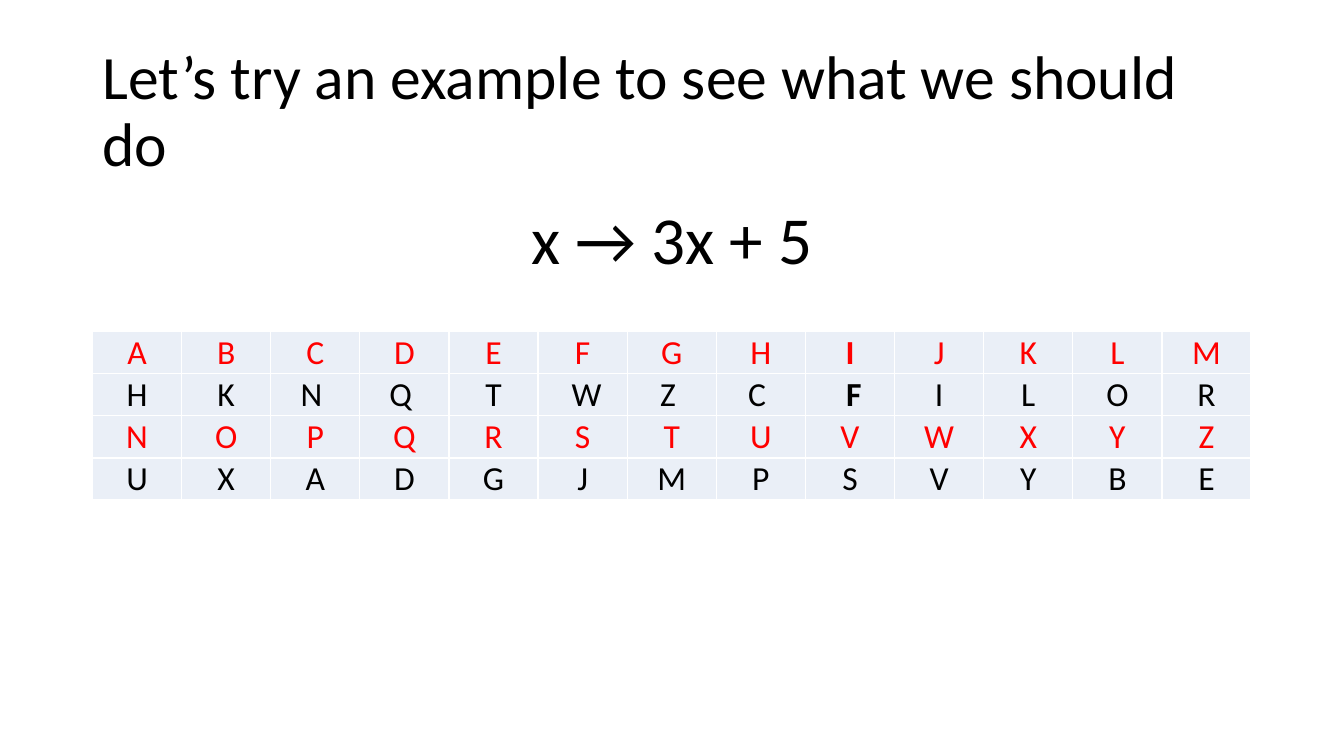
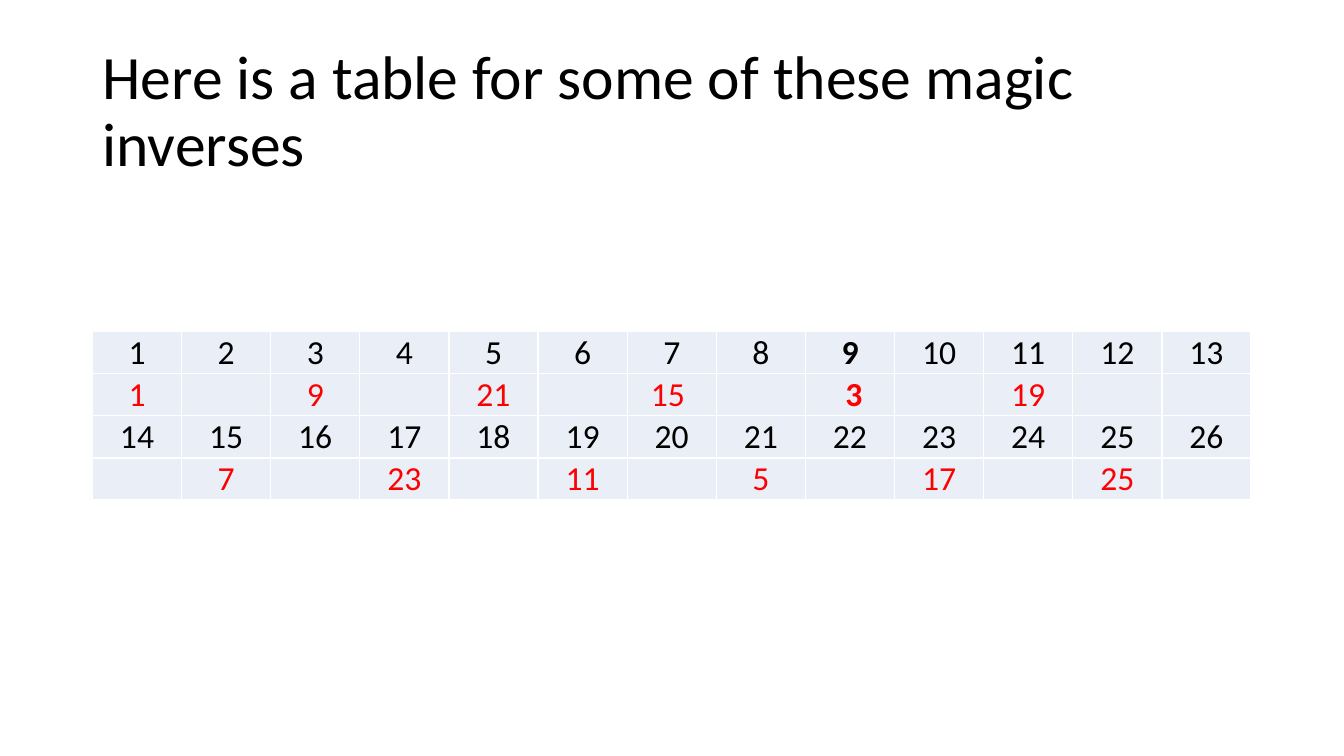
from dataclasses import dataclass

from pptx import Presentation
from pptx.dml.color import RGBColor
from pptx.enum.text import MSO_ANCHOR, PP_ALIGN
from pptx.slide import Slide
from pptx.table import _Cell
from pptx.text.text import _Paragraph
from pptx.util import Cm, Pt

BLACK = RGBColor(0x00, 0x00, 0x00)
RED = RGBColor(0xFF, 0x00, 0x00)
PALE_BLUE = RGBColor(0xEA, 0xEF, 0xF7)
FONT = "Calibri"

LEFT, WIDTH = Cm(2.33), Cm(29.21)
TITLE_TOP, TITLE_HEIGHT = Cm(1.01), Cm(3.68)
FORMULA_TOP, FORMULA_HEIGHT = Cm(5.08), Cm(2.36)
TABLE_TOP, ROW_HEIGHT = Cm(8.36), Cm(1.06)
CELL_MARGIN = Cm(0.02)
BOLD_CELLS = {(0, 8), (1, 8)}


@dataclass(frozen=True)
class TableRow:
    """One table row; its cell texts are separated by bars."""

    cells: str
    color: RGBColor


@dataclass(frozen=True)
class TableSlide:
    title: str
    rows: tuple[TableRow, ...]
    formula: str = ""


SLIDES = (
    TableSlide(
        "Let’s try an example to see what we should do",
        (
            TableRow("A|B|C|D|E|F|G|H|I|J|K|L|M", RED),
            TableRow("H|K|N |Q |T| W|Z |C | F|I|L|O|R", BLACK),
            TableRow("N|O|P|Q|R|S|T|U|V|W|X|Y|Z", RED),
            TableRow("U|X|A|D|G|J|M|P|S|V|Y|B|E", BLACK),
        ),
        formula="x → 3x + 5",
    ),
    TableSlide(
        "Here is a table for some of these magic inverses",
        (
            TableRow("1|2|3|4|5|6|7|8|9|10|11|12|13", BLACK),
            TableRow("1||9||21||15 || 3||19||", RED),
            TableRow("14|15|16|17|18|19|20|21|22|23|24|25|26", BLACK),
            TableRow("|7||23||11||5||17||25|", RED),
        ),
    ),
)


def style_paragraph(
    paragraph: _Paragraph,
    size: int,
    color: RGBColor = BLACK,
    align: PP_ALIGN = PP_ALIGN.CENTER,
    bold: bool = False,
) -> None:
    paragraph.alignment = align
    paragraph.font.name = FONT
    paragraph.font.size = Pt(size)
    paragraph.font.bold = bold
    paragraph.font.color.rgb = color


def add_text(
    page: Slide, text: str, top: Cm, height: Cm, anchor: MSO_ANCHOR
) -> _Paragraph:
    """Add a full-width text box and return its only paragraph."""
    frame = page.shapes.add_textbox(LEFT, top, WIDTH, height).text_frame
    frame.word_wrap = True
    frame.vertical_anchor = anchor
    paragraph = frame.paragraphs[0]
    paragraph.text = text
    paragraph.line_spacing = 0.9
    return paragraph


def add_title(page: Slide, text: str) -> None:
    paragraph = add_text(page, text, TITLE_TOP, TITLE_HEIGHT, MSO_ANCHOR.MIDDLE)
    style_paragraph(paragraph, 44, align=PP_ALIGN.LEFT)


def add_formula(page: Slide, text: str) -> None:
    paragraph = add_text(page, text, FORMULA_TOP, FORMULA_HEIGHT, MSO_ANCHOR.TOP)
    paragraph.space_before = Pt(10)
    style_paragraph(paragraph, 48)


def fill_cell(cell: _Cell, text: str, color: RGBColor, bold: bool) -> None:
    cell.fill.solid()
    cell.fill.fore_color.rgb = PALE_BLUE
    cell.vertical_anchor = MSO_ANCHOR.BOTTOM
    cell.margin_left = cell.margin_right = cell.margin_top = CELL_MARGIN
    cell.margin_bottom = 0
    paragraph = cell.text_frame.paragraphs[0]
    if text:
        paragraph.text = text
    style_paragraph(paragraph, 24, color, bold=bold)


def add_letter_table(page: Slide, rows: tuple[TableRow, ...]) -> None:
    columns = len(rows[0].cells.split("|"))
    table = page.shapes.add_table(
        len(rows), columns, LEFT, TABLE_TOP, WIDTH, ROW_HEIGHT * len(rows)
    ).table
    table.first_row = False
    table.horz_banding = False
    for row_index, row in enumerate(rows):
        for column, text in enumerate(row.cells.split("|")):
            bold = (row_index, column) in BOLD_CELLS
            fill_cell(table.cell(row_index, column), text, row.color, bold)


def main() -> None:
    deck = Presentation()
    deck.slide_width, deck.slide_height = Cm(33.87), Cm(19.05)
    blank_layout = deck.slide_layouts[6]
    for content in SLIDES:
        page = deck.slides.add_slide(blank_layout)
        add_title(page, content.title)
        if content.formula:
            add_formula(page, content.formula)
        add_letter_table(page, content.rows)
    deck.save("out.pptx")


if __name__ == "__main__":
    main()
